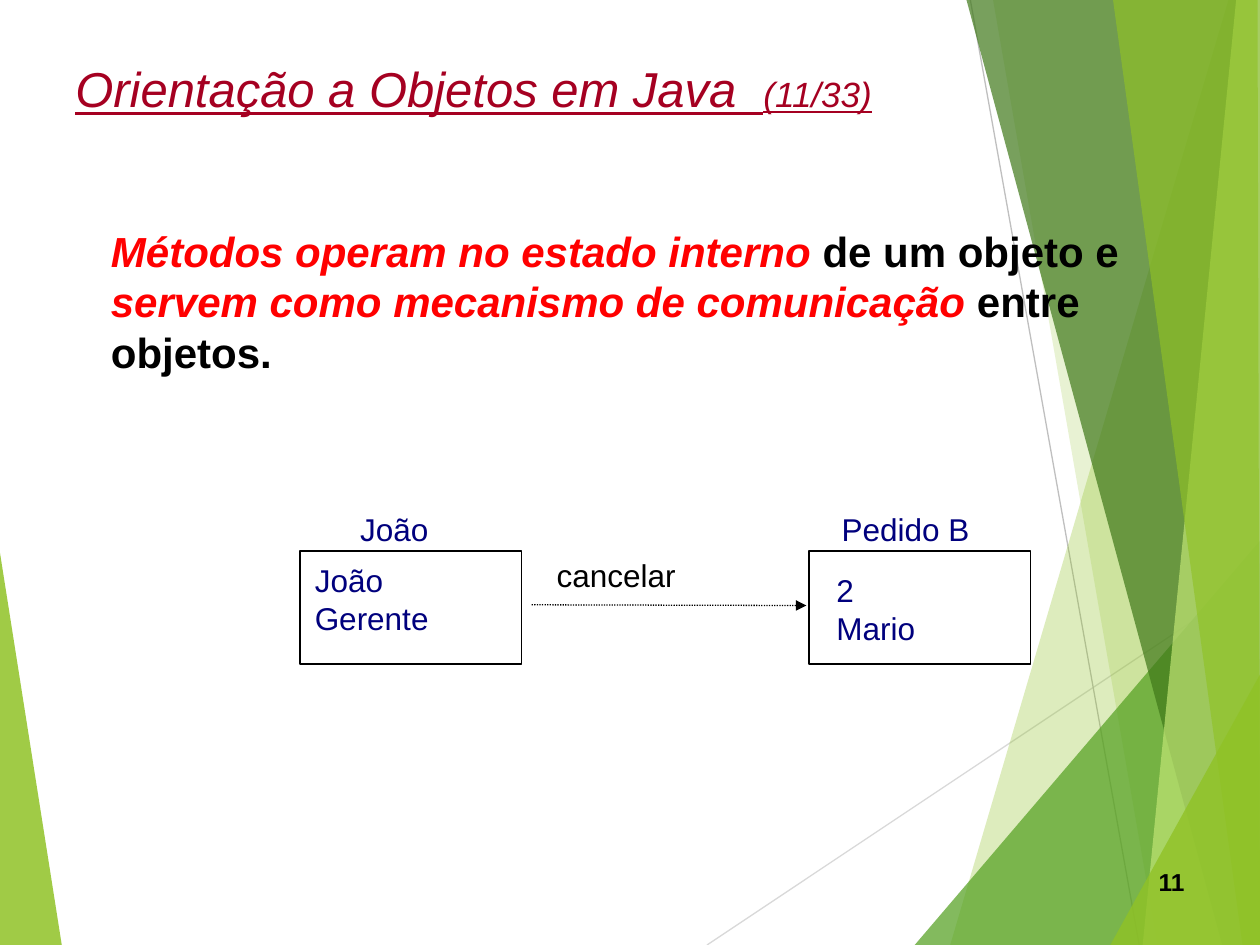
from lxml.etree import SubElement
from pptx import Presentation
from pptx.dml.color import RGBColor
from pptx.enum.dml import MSO_LINE_DASH_STYLE as Dash
from pptx.enum.shapes import MSO_CONNECTOR as Connector, MSO_SHAPE as Shape
from pptx.enum.text import MSO_AUTO_SIZE as AutoSize, PP_ALIGN as Align
from pptx.oxml.ns import qn
from pptx.util import Pt

WIDTH, HEIGHT = 720, 540

THEME = {
    "font": "Arial",
    "lime": "90C226", "pale": "C0E474", "green": "54A021", "forest": "3F7819",
    "light_gray": "D9D9D9", "gray": "BFBFBF",
    "black": "000000", "navy": "00007D", "red": "FF0000", "wine": "A50021",
    "title": 28, "counter": 20, "body": 24, "label": 18, "number": 14,
}

# colour, opacity in percent, corners
LEFT_FACET = ("lime", 85, [(0, 316), (35.3, HEIGHT), (0, HEIGHT)])
RIGHT_FACETS = [
    ("lime", 30, [(702, 0), (543, HEIGHT), (WIDTH, HEIGHT), (WIDTH, 0)]),
    ("lime", 20, [(567.5, 0), (661.5, HEIGHT), (WIDTH, HEIGHT), (WIDTH, 0)]),
    ("green", 72, [(522.7, HEIGHT), (WIDTH, 309), (WIDTH, HEIGHT)]),
    ("forest", 70, [(552.3, 0), (698.4, HEIGHT), (WIDTH, HEIGHT), (WIDTH, 0)]),
    ("pale", 70, [(706.4, 0), (653, HEIGHT), (WIDTH, HEIGHT), (WIDTH, 0)]),
    ("lime", 65, [(636, 0), (710, HEIGHT), (WIDTH, HEIGHT), (718.6, 0)]),
    ("lime", 80, [(634.5, HEIGHT), (WIDTH, 385.5), (WIDTH, HEIGHT)]),
]
# colour, start, end
RAYS = [
    ("light_gray", (404, HEIGHT), (WIDTH, 329.3)),
    ("gray", (554.5, 0), (651, HEIGHT)),
]

# text, size, colour, style letters (b, i, u)
TITLE = [("Orientação a Objetos em Java  ", "title", "wine", "iu"),
         ("(11/33)", "counter", "wine", "iu")]
BODY = [("Métodos operam no estado interno", "body", "red", "bi"),
        (" de um objeto e ", "body", "black", "b"),
        ("servem como mecanismo de comunicação", "body", "red", "bi"),
        (" entre objetos.", "body", "black", "b")]
PAGE_NUMBER = [("11", "number", "black", "b")]

LABEL_WIDTH = 193.7
OBJECT_TOP, OBJECT_WIDTH, OBJECT_HEIGHT = 314.8, 126.7, 64.6
NAME_TOP = 297.4
# name, its left, box left, values, their left and top
OBJECTS = [
    ("Pedido B", 473.8, 462.2, ["2", "Mario"], (470.9, 331.9)),
    ("João", 198.7, 171.4, ["João", "Gerente"], (172.8, 326.2)),
]
MESSAGE, MESSAGE_AT = "cancelar", (311, 323.3)
ARROW = (303.8, 345.6), (460.8, 346)


def color(name):
    return RGBColor.from_string(THEME[name])


def add_facet(page, name, opacity, corners):
    points = [(Pt(x), Pt(y)) for x, y in corners]
    builder = page.shapes.build_freeform(*points[0], scale=1.0)
    builder.add_line_segments(points[1:], close=True)
    facet = builder.convert_to_shape()
    facet.shadow.inherit = False
    facet.line.fill.background()
    facet.fill.solid()
    facet.fill.fore_color.rgb = color(name)
    tint = facet.fill._xPr.find(qn("a:solidFill"))[0]
    SubElement(tint, qn("a:alpha"), val=str(opacity * 1000))


def add_line(page, name, start, end):
    line = page.shapes.add_connector(
        Connector.STRAIGHT, *(Pt(value) for value in start + end))
    line.line.color.rgb = color(name)
    line.line.width = Pt(0.75)
    SubElement(line._element.spPr, qn("a:effectLst"))
    return line


def add_text(page, left, top, width, height, paragraphs, margins=(7.2, 3.6)):
    """Add a text box; each paragraph is a list of styled runs."""
    box = page.shapes.add_textbox(Pt(left), Pt(top), Pt(width), Pt(height))
    frame = box.text_frame
    frame.word_wrap = True
    frame.auto_size = AutoSize.NONE
    frame.margin_left = frame.margin_right = Pt(margins[0])
    frame.margin_top = frame.margin_bottom = Pt(margins[1])
    for index, runs in enumerate(paragraphs):
        para = frame.add_paragraph() if index else frame.paragraphs[0]
        for text, size, name, style in runs:
            span = para.add_run()
            span.text = text
            font = span.font
            font.name = THEME["font"]
            font.size = Pt(THEME[size])
            font.color.rgb = color(name)
            font.bold = "b" in style
            font.italic = "i" in style
            font.underline = "u" in style
    return frame


def add_label(page, left, top, lines, name):
    """Add tightly set diagram text, one paragraph a line."""
    height = 19.4 if len(lines) == 1 else 41.8
    frame = add_text(page, left, top, LABEL_WIDTH, height,
                     [[(line, "label", name, "")] for line in lines])
    for para in frame.paragraphs:
        para.line_spacing = 0.5
        para.space_before = Pt(11.2)


def add_object(page, name, name_left, left, values, values_at):
    box = page.shapes.add_shape(Shape.RECTANGLE, Pt(left), Pt(OBJECT_TOP),
                                Pt(OBJECT_WIDTH), Pt(OBJECT_HEIGHT))
    box.shadow.inherit = False
    box.fill.background()
    box.line.color.rgb = color("black")
    box.line.width = Pt(1)
    add_label(page, name_left, NAME_TOP, [name], "navy")
    add_label(page, *values_at, values, "navy")


def main():
    deck = Presentation()
    deck.slide_width, deck.slide_height = Pt(WIDTH), Pt(HEIGHT)
    page = deck.slides.add_slide(deck.slide_layouts[6])

    add_facet(page, *LEFT_FACET)
    for ray in RAYS:
        add_line(page, *ray)
    for facet in RIGHT_FACETS:
        add_facet(page, *facet)

    number = add_text(page, 516.2, 491.8, 167.8, 37.4, [PAGE_NUMBER])
    number.paragraphs[0].alignment = Align.RIGHT
    add_text(page, 36, 30.2, 561.6, 41, [TITLE])
    add_text(page, 63.4, 128.9, 648, 306, [BODY], margins=(0, 0))

    for item in OBJECTS:
        add_object(page, *item)
    arrow = add_line(page, "black", *ARROW)
    arrow.line.dash_style = Dash.ROUND_DOT
    SubElement(arrow.line._get_or_add_ln(), qn("a:tailEnd"), type="triangle")
    add_label(page, *MESSAGE_AT, [MESSAGE], "black")

    deck.save("out.pptx")


if __name__ == "__main__":
    main()
